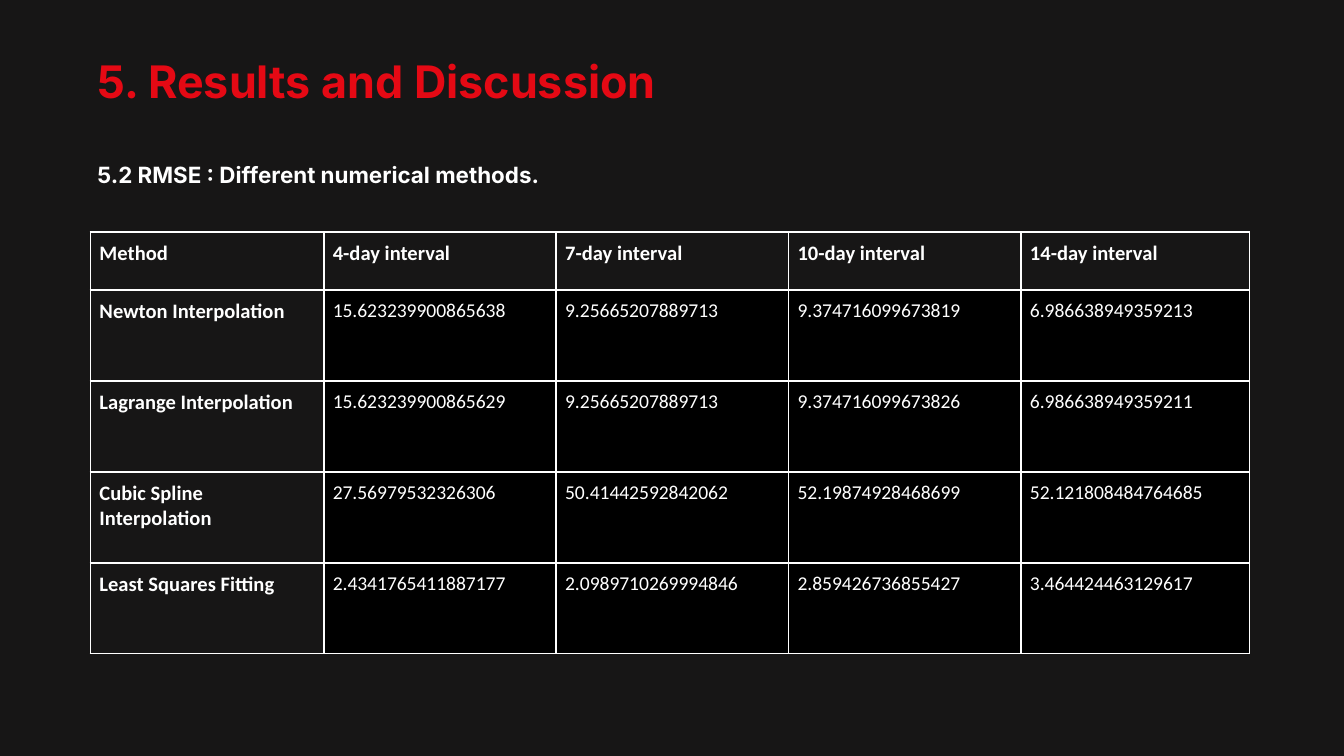
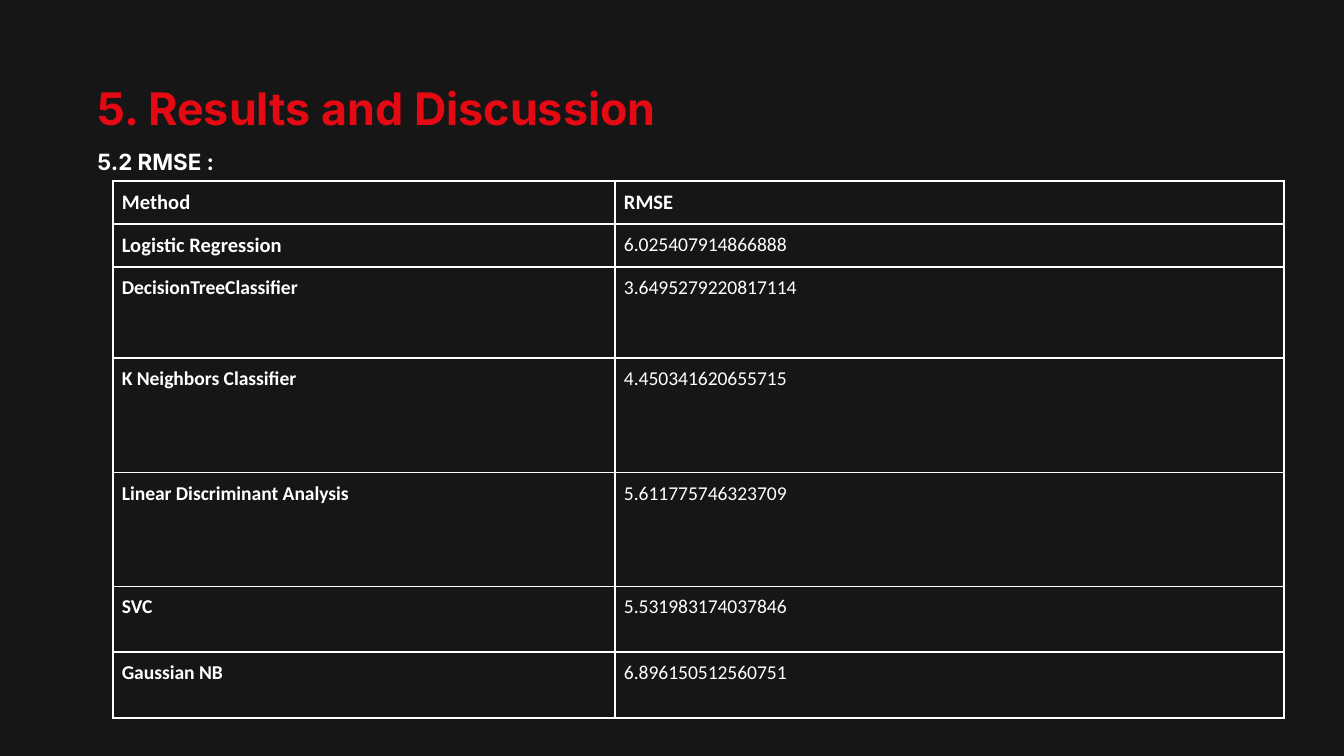
"""Build two dark slides that tabulate RMSE results."""
from dataclasses import dataclass

from lxml import etree
from pptx import Presentation
from pptx.dml.color import RGBColor
from pptx.enum.text import MSO_ANCHOR, MSO_AUTO_SIZE, PP_ALIGN
from pptx.oxml.ns import qn
from pptx.util import Pt

TOP = MSO_ANCHOR.TOP
LEFT = PP_ALIGN.LEFT
GROW = MSO_AUTO_SIZE.SHAPE_TO_FIT_TEXT

BACKGROUND = RGBColor(0x17, 0x16, 0x16)
RED = RGBColor(0xE5, 0x09, 0x14)
WHITE = RGBColor(0xFF, 0xFF, 0xFF)
BLACK = RGBColor(0x00, 0x00, 0x00)

TITLE = "5. Results and Discussion"
TITLE_FONT = "Inter"
TABLE_FONT = "Calibri"
TITLE_ONLY = 5
CELL_INSET = Pt(4.8)
BORDER_SIDES = ("a:lnL", "a:lnR", "a:lnT", "a:lnB")


@dataclass(frozen=True)
class Row:
    method: str
    values: tuple[str, ...]
    height: float
    method_size: float = 11
    value_size: float = 10.5
    header: bool = False


@dataclass(frozen=True)
class ResultPage:
    subtitle: str
    title_height: float
    subtitle_gap: float
    line_spacing: float
    left: float
    top: float
    widths: tuple[float, ...]
    rows: tuple[Row, ...]
    value_fill: RGBColor | None = None


PAGES = (
    ResultPage(
        "5.2 RMSE : Different numerical methods.", 78.5, 29, 1.0,
        48.5, 124.3, (125, 124.5, 124.5, 124.5, 122.5),
        (
            Row("Method", ("4-day interval", "7-day interval",
                           "10-day interval", "14-day interval"), 31, value_size=11, header=True),
            Row("Newton Interpolation", ("15.623239900865638", "9.25665207889713",
                                         "9.374716099673819", "6.986638949359213"), 48.75),
            Row("Lagrange Interpolation", ("15.623239900865629", "9.25665207889713",
                                           "9.374716099673826", "6.986638949359211"), 48.75),
            Row("Cubic Spline Interpolation", ("27.56979532326306", "50.41442592842062",
                                               "52.19874928468699", "52.121808484764685"), 48.75),
            Row("Least Squares Fitting", ("2.4341765411887177", "2.0989710269994846",
                                          "2.859426736855427", "3.464424463129617"), 48.75),
        ),
        BLACK,
    ),
    ResultPage(
        "5.2 RMSE :", 63.5, 0, 1.5,
        60.5, 97, (269, 358.5),
        (
            Row("Method", ("RMSE",), 23, value_size=11, header=True),
            Row("Logistic Regression", ("6.025407914866888",), 23),
            Row("DecisionTreeClassifier", ("3.6495279220817114",), 48.75, 10.5),
            Row("K Neighbors Classifier", ("4.450341620655715",), 61.5, 10.5),
            Row("Linear Discriminant Analysis", ("5.611775746323709",), 61, 10.5),
            Row("SVC", ("5.531983174037846",), 35.25, 10.5),
            Row("Gaussian NB", ("6.896150512560751",), 35.25, 10.5),
        ),
    ),
)


def format_para(para, font: str, size: float, color: RGBColor, bold: bool) -> None:
    """Left-align a paragraph and format its runs."""
    para.alignment = LEFT
    for span in para.runs:
        span.font.name = font
        span.font.size = Pt(size)
        span.font.bold = bold
        span.font.color.rgb = color


def add_heading(page, content: ResultPage) -> None:
    """Place the red title with its white subtitle."""
    box = page.shapes.title
    box.left, box.top = Pt(46.8), Pt(26)
    box.width, box.height = Pt(440.5), Pt(content.title_height)
    frame = box.text_frame
    frame.word_wrap = True
    frame.auto_size = GROW
    frame.vertical_anchor = TOP
    frame.margin_left = frame.margin_right = Pt(5.4)
    frame.margin_top = frame.margin_bottom = Pt(2.7)
    frame.text = TITLE
    title = frame.paragraphs[0]
    subtitle = frame.add_paragraph()
    subtitle.text = content.subtitle
    subtitle.space_before = Pt(content.subtitle_gap)
    for para, size, color in ((title, 24, RED), (subtitle, 12, WHITE)):
        para.line_spacing = content.line_spacing
        format_para(para, TITLE_FONT, size, color, True)


def add_borders(cell) -> None:
    """Draw a white one-point line on each side of a cell."""
    properties = cell._tc.get_or_add_tcPr()
    for side in BORDER_SIDES:
        line = etree.SubElement(properties, qn(side), w=str(Pt(1)))
        fill = etree.SubElement(line, qn("a:solidFill"))
        etree.SubElement(fill, qn("a:srgbClr"), val=str(WHITE))


def fill_cell(cell, text: str, size: float, bold: bool, fill: RGBColor | None) -> None:
    """Write and format one table cell."""
    cell.margin_left = cell.margin_right = CELL_INSET
    cell.margin_top = cell.margin_bottom = CELL_INSET
    cell.vertical_anchor = TOP
    cell.text_frame.text = text
    format_para(cell.text_frame.paragraphs[0], TABLE_FONT, size, WHITE, bold)
    add_borders(cell)
    if fill is None:
        cell.fill.background()
    else:
        cell.fill.solid()
        cell.fill.fore_color.rgb = fill


def add_results(page, content: ResultPage) -> None:
    """Add the table of methods and errors."""
    width = sum(content.widths)
    height = sum(row.height for row in content.rows)
    table = page.shapes.add_table(
        len(content.rows), len(content.widths),
        Pt(content.left), Pt(content.top), Pt(width), Pt(height),
    ).table
    table.first_row = False
    table.horz_banding = False
    for column, column_width in zip(table.columns, content.widths):
        column.width = Pt(column_width)
    for index, row in enumerate(content.rows):
        table.rows[index].height = Pt(row.height)
        fill_cell(table.cell(index, 0), row.method, row.method_size, True, None)
        value_fill = None if row.header else content.value_fill
        for column, value in enumerate(row.values, start=1):
            fill_cell(table.cell(index, column), value, row.value_size, row.header, value_fill)


def main() -> None:
    """Build and save the deck."""
    deck = Presentation()
    deck.slide_width, deck.slide_height = Pt(720), Pt(405)
    background = deck.slide_master.background.fill
    background.solid()
    background.fore_color.rgb = BACKGROUND
    for content in PAGES:
        page = deck.slides.add_slide(deck.slide_layouts[TITLE_ONLY])
        add_heading(page, content)
        add_results(page, content)
    deck.save("out.pptx")


if __name__ == "__main__":
    main()
